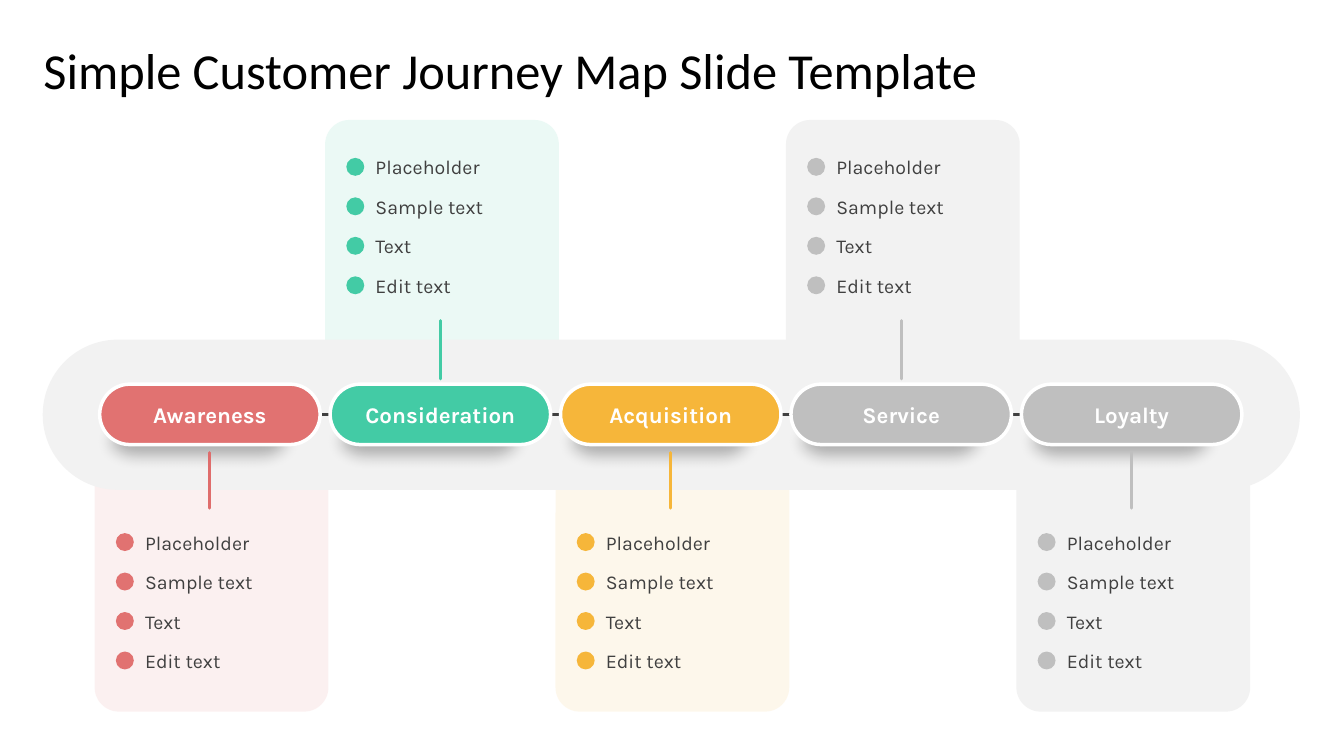
from collections import namedtuple

from lxml.etree import SubElement
from pptx import Presentation
from pptx.dml.color import RGBColor
from pptx.enum.shapes import MSO_CONNECTOR, MSO_SHAPE
from pptx.enum.text import MSO_ANCHOR, MSO_AUTO_SIZE, PP_ALIGN
from pptx.oxml.ns import qn
from pptx.util import Pt

ROUNDED = MSO_SHAPE.ROUNDED_RECTANGLE
OVAL = MSO_SHAPE.OVAL
STRAIGHT = MSO_CONNECTOR.STRAIGHT
MIDDLE = MSO_ANCHOR.MIDDLE
LEFT, CENTER = PP_ALIGN.LEFT, PP_ALIGN.CENTER
NO_AUTOFIT = MSO_AUTO_SIZE.NONE
TITLE_ONLY = 5

WHITE, BLACK, DARK, PALE = "FFFFFF", "000000", "404040", "F2F2F2"

# Each stage: name, accent, stem colour, panel colour, panel opacity, panel side
Stage = namedtuple("Stage", "name accent stem panel opacity above")
STAGES = [
    Stage("Awareness", "E17271", "DF6D6C", "F9E3E3", 50, False),
    Stage("Consideration", "43CBA5", "43CBA5", "D9F5ED", 50, True),
    Stage("Acquisition", "F6B63A", "F6B63A", "FDF0D8", 50, False),
    Stage("Service", "BFBFBF", "BFBFBF", PALE, 100, True),
    Stage("Loyalty", "BFBFBF", "BFBFBF", PALE, 100, False),
]
ITEMS = ["Placeholder", "Sample text", "Text", "Edit text"]

# Layout in points
STAGE_PITCH = 164.6
PILL_LEFT, PILL_TOP, PILL_WIDTH, PILL_HEIGHT = 71.2, 274.4, 157.5, 43.2
PANEL_LEFT, PANEL_WIDTH, PANEL_HEIGHT = 67.6, 167, 181.5
DOT_LEFT, DOT_SIZE = 82.8, 12.8
ITEM_LEFT, ITEM_WIDTH, ITEM_HEIGHT, ITEM_PITCH = 103.6, 114, 21, 28.2


def rgb(color):
    return RGBColor.from_string(color)


def add_block(slide, kind, left, top, width, height, fill, *,
              corner=None, opacity=100, outline=None, soft_edge=0):
    shape = slide.shapes.add_shape(kind, Pt(left), Pt(top), Pt(width), Pt(height))
    shape.shadow.inherit = False
    if corner is not None:
        shape.adjustments[0] = corner
    shape.fill.solid()
    shape.fill.fore_color.rgb = rgb(fill)
    properties = shape._element.spPr
    if opacity < 100:
        color = properties.find(".//" + qn("a:srgbClr"))
        SubElement(color, qn("a:alpha")).set("val", str(opacity * 1000))
    if outline:
        shape.line.color.rgb = rgb(outline)
        shape.line.width = Pt(2.5)
    else:
        shape.line.fill.background()
    if soft_edge:
        effects = properties.find(qn("a:effectLst"))
        SubElement(effects, qn("a:softEdge")).set("rad", str(Pt(soft_edge)))
    return shape


def write_text(shape, text, *, size, color, font="Karla", bold=False,
               align=LEFT, inset=0):
    frame = shape.text_frame
    frame.auto_size = NO_AUTOFIT
    frame.word_wrap = True
    frame.vertical_anchor = MIDDLE
    frame.margin_left = frame.margin_right = 0
    frame.margin_top = frame.margin_bottom = Pt(inset)
    paragraph = frame.paragraphs[0]
    paragraph.alignment = align
    run = paragraph.add_run()
    run.text = text
    run.font.name = font
    run.font.size = Pt(size)
    run.font.bold = bold
    run.font.color.rgb = rgb(color)


def add_line(slide, start, end, color, cap="flat"):
    points = [Pt(value) for value in (*start, *end)]
    connector = slide.shapes.add_connector(STRAIGHT, *points)
    connector.line.color.rgb = rgb(color)
    connector.line.width = Pt(2)
    properties = connector._element.spPr
    properties.find(qn("a:ln")).set("cap", cap)
    SubElement(properties, qn("a:effectLst"))


def add_title(slide, text):
    title = slide.shapes.title
    title.left, title.top, title.width, title.height = Pt(31), Pt(21.6), Pt(898), Pt(56)
    write_text(title, text, size=36, color=BLACK, font="Calibri", inset=5)


def add_panel(slide, stage, shift):
    top = 85.7 if stage.above else 326.8
    add_block(slide, ROUNDED, PANEL_LEFT + shift, top, PANEL_WIDTH, PANEL_HEIGHT,
              stage.panel, corner=0.104, opacity=stage.opacity)


def add_pill(slide, stage, shift):
    add_block(slide, ROUNDED, PILL_LEFT + shift - 8, PILL_TOP + 19.4, PILL_WIDTH,
              PILL_HEIGHT, BLACK, corner=0.5, opacity=30, soft_edge=12)
    pill = add_block(slide, ROUNDED, PILL_LEFT + shift, PILL_TOP, PILL_WIDTH,
                     PILL_HEIGHT, stage.accent, corner=0.5, outline=WHITE)
    write_text(pill, stage.name, size=16, color=WHITE, bold=True, align=CENTER)


def add_stem(slide, stage, shift):
    x = PILL_LEFT + PILL_WIDTH / 2 + shift
    top, bottom = (229, 270.7) if stage.above else (323.3, 363)
    add_line(slide, (x, top), (x, bottom), stage.stem, cap="rnd")


def add_items(slide, stage, shift):
    first_top = 108.8 if stage.above else 376.8
    for row, item in enumerate(ITEMS):
        top = first_top + row * ITEM_PITCH
        add_block(slide, OVAL, DOT_LEFT + shift, top + 4, DOT_SIZE, DOT_SIZE, stage.accent)
        box = slide.shapes.add_textbox(Pt(ITEM_LEFT + shift), Pt(top),
                                       Pt(ITEM_WIDTH), Pt(ITEM_HEIGHT))
        write_text(box, item, size=14, color=DARK)


def main():
    presentation = Presentation()
    presentation.slide_width, presentation.slide_height = Pt(960), Pt(540)
    slide = presentation.slides.add_slide(presentation.slide_layouts[TITLE_ONLY])
    add_title(slide, "Simple Customer Journey Map Slide Template")
    shifts = [index * STAGE_PITCH for index in range(len(STAGES))]

    # Panels sit behind the band
    for stage, shift in zip(STAGES, shifts):
        add_panel(slide, stage, shift)

    # Band and the line that joins the stages
    add_block(slide, ROUNDED, 30.5, 242.6, 898, 107.3, PALE, corner=0.5)
    add_line(slide, (88.6, 296), (859.7, 296), DARK)

    # Stages with their stems and lists
    for stage, shift in zip(STAGES, shifts):
        add_pill(slide, stage, shift)
        add_stem(slide, stage, shift)
        add_items(slide, stage, shift)

    presentation.save("out.pptx")


if __name__ == "__main__":
    main()
